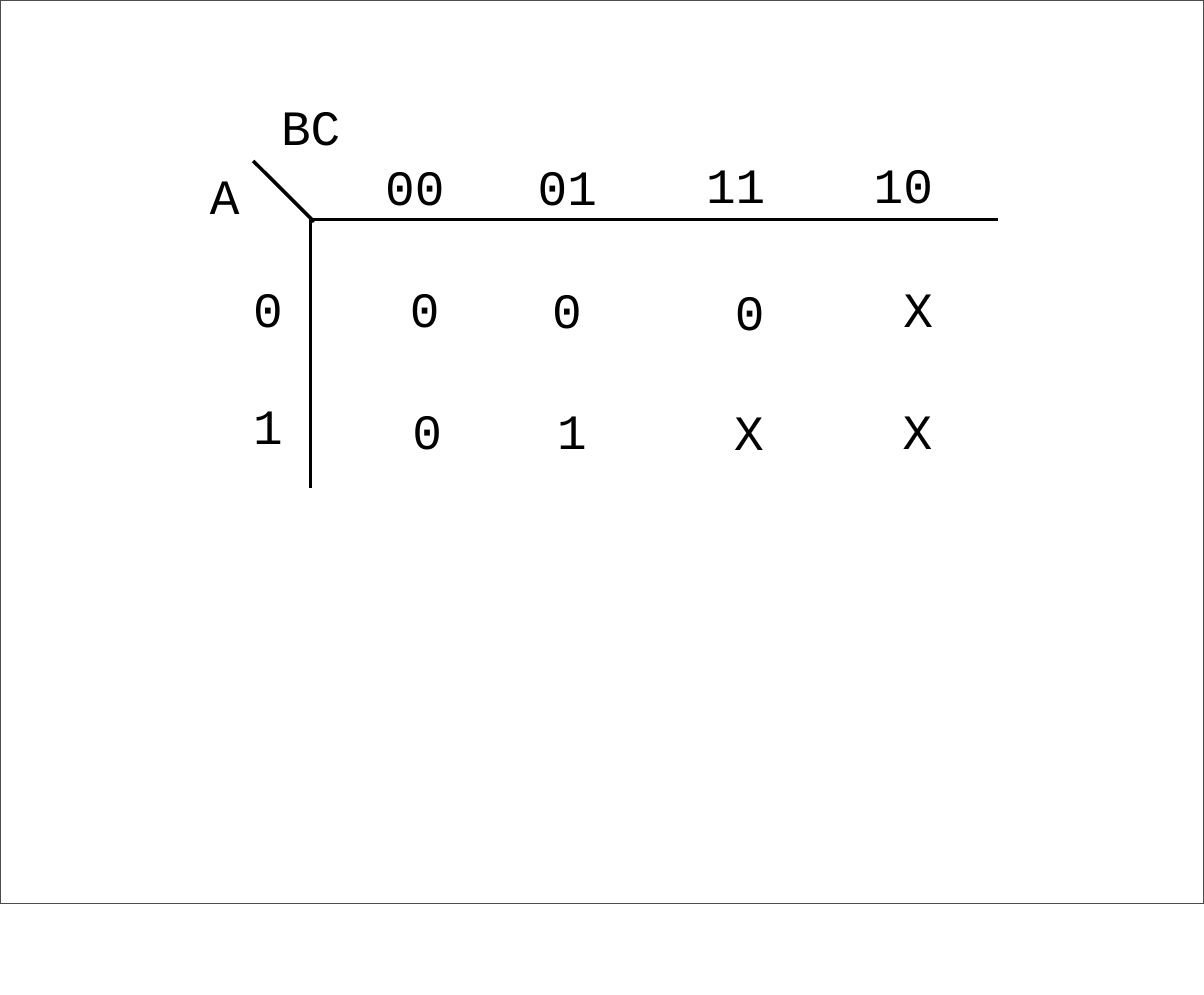
from lxml import etree
from pptx import Presentation
from pptx.dml.color import RGBColor
from pptx.enum.shapes import MSO_CONNECTOR, MSO_SHAPE
from pptx.enum.text import MSO_AUTO_SIZE, PP_ALIGN
from pptx.oxml.ns import qn
from pptx.util import Inches, Pt

STRAIGHT = MSO_CONNECTOR.STRAIGHT
RECTANGLE = MSO_SHAPE.RECTANGLE
NO_AUTOFIT = MSO_AUTO_SIZE.NONE
LEFT_ALIGNED = PP_ALIGN.LEFT

BLACK = RGBColor(0x00, 0x00, 0x00)
FRAME_GRAY = RGBColor(0x4C, 0x4C, 0x4C)
FONT = "Courier New"
FONT_SIZE = 42
CHAR_WIDTH = 0.35
LABEL_HEIGHT = 0.73
TAB_STOP = 1.8

# Text, left and top, in inches from the corner of the map
VARIABLES = [("A", 0, 0.82), ("BC", 0.84, 0)]
COLUMN_CODES = [("00\t01", 2.07, 0.71), ("11", 5.86, 0.69), ("10", 7.84, 0.69)]
ROW_A0 = [("0", 0.51, 2.16), ("0", 2.36, 2.16), ("0", 4.04, 2.17),
          ("0", 6.2, 2.19), ("X", 8.19, 2.16)]
ROW_A1 = [("1", 0.51, 3.54), ("0", 2.39, 3.59), ("1", 4.1, 3.59),
          ("X", 6.19, 3.61), ("X", 8.18, 3.59)]

# Start and end of the rules, in inches from the corner of the map
HEADER_RULE = (1.18, 1.47, 9.32, 1.47)
SIDE_RULE = (1.2, 1.46, 1.2, 4.64)
DIAGONAL = (0.52, 0.78, 1.24, 1.5)


def add_rule(slide, x1, y1, x2, y2):
    rule = slide.shapes.add_connector(
        STRAIGHT, Inches(x1), Inches(y1), Inches(x2), Inches(y2))
    rule.line.color.rgb = BLACK
    rule.line.width = Pt(3)
    etree.SubElement(rule._element.spPr, qn("a:effectLst"))


def add_tab_stop(paragraph, position):
    tabs = etree.SubElement(paragraph._p.get_or_add_pPr(), qn("a:tabLst"))
    etree.SubElement(tabs, qn("a:tab"), pos=str(Inches(position)), algn="l")


def add_label(slide, text, left, top):
    """Place a label; a tab in the text moves what follows to the tab stop."""
    width = CHAR_WIDTH * len(text.split("\t")[-1]) + 0.03
    if "\t" in text:
        width += TAB_STOP
    label = slide.shapes.add_textbox(
        Inches(left), Inches(top), Inches(width), Inches(LABEL_HEIGHT))
    frame = label.text_frame
    frame.margin_left = frame.margin_top = Inches(0.01)
    frame.margin_right = frame.margin_bottom = 0
    frame.word_wrap = True
    frame.auto_size = NO_AUTOFIT
    paragraph = frame.paragraphs[0]
    paragraph.text = text
    paragraph.alignment = LEFT_ALIGNED
    if "\t" in text:
        add_tab_stop(paragraph, TAB_STOP)
    for run in paragraph.runs:
        run.font.name = FONT
        run.font.size = Pt(FONT_SIZE)
        run.font.color.rgb = BLACK


def add_karnaugh_map(slide, left, top):
    for x1, y1, x2, y2 in (HEADER_RULE, SIDE_RULE, DIAGONAL):
        add_rule(slide, left + x1, top + y1, left + x2, top + y2)
    for text, x, y in VARIABLES + COLUMN_CODES + ROW_A0 + ROW_A1:
        add_label(slide, text, left + x, top + y)


def add_page_frame(slide, left, top, width, height):
    frame = slide.shapes.add_shape(
        RECTANGLE, Inches(left), Inches(top), Inches(width), Inches(height))
    frame.shadow.inherit = False
    frame.fill.background()
    frame.line.color.rgb = FRAME_GRAY
    frame.line.width = Pt(1)


def main():
    presentation = Presentation()
    presentation.slide_width = Inches(14.22)
    presentation.slide_height = Inches(11.75)
    slide = presentation.slides.add_slide(presentation.slide_layouts[6])
    add_karnaugh_map(slide, 2.47, 1.12)
    add_page_frame(slide, 0, 0, 14.22, 10.67)
    presentation.save("out.pptx")


if __name__ == "__main__":
    main()
